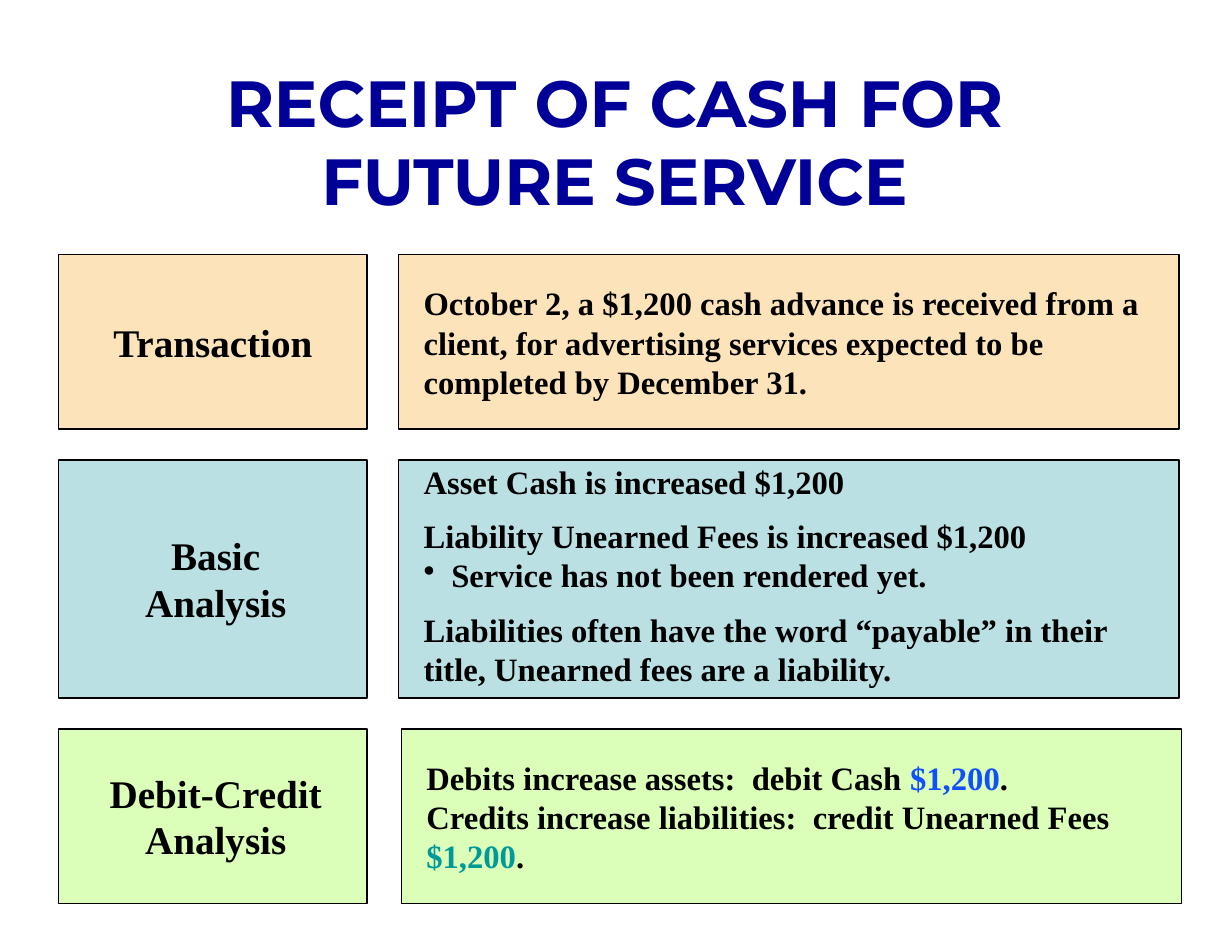
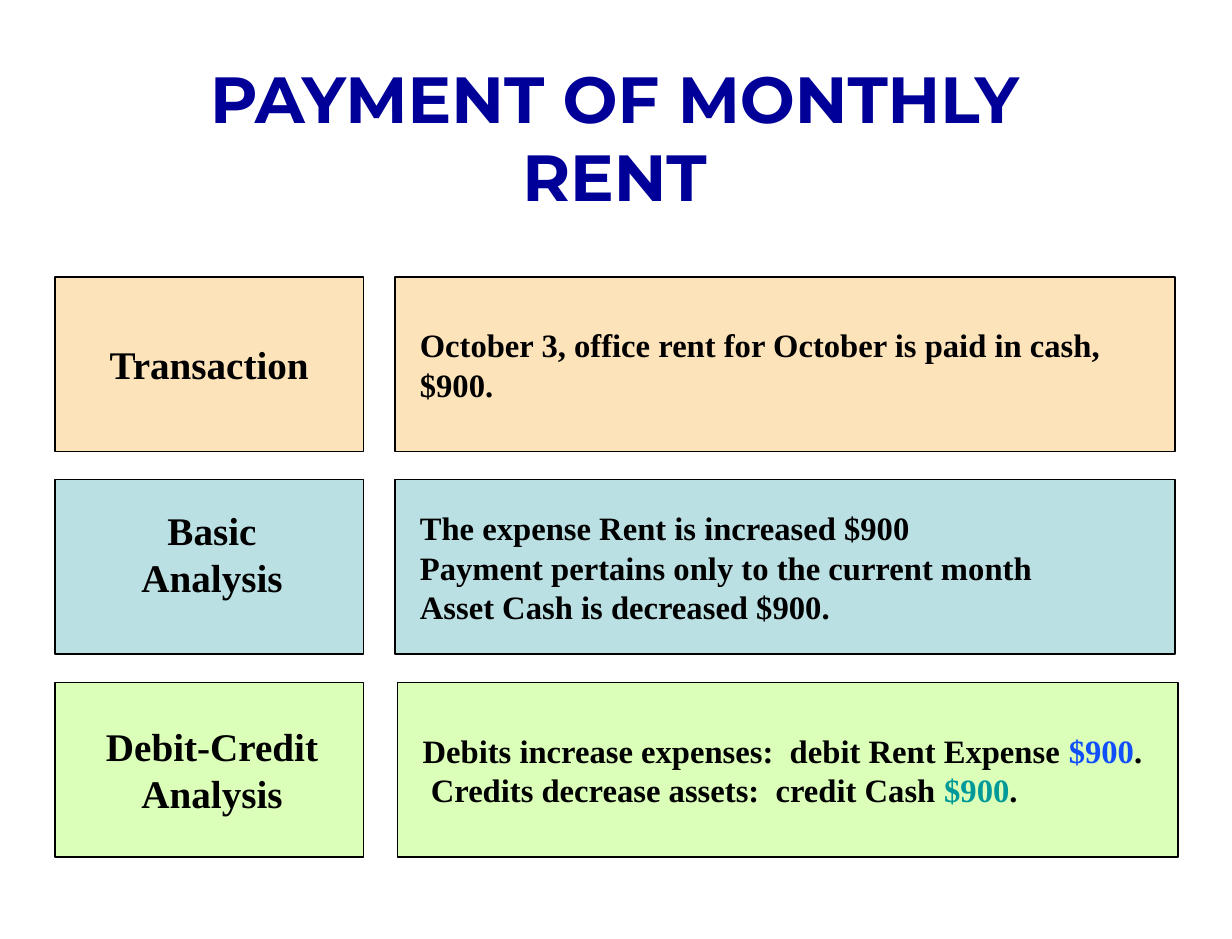
"""Builds two slides that analyse accounting transactions in three rows."""
from lxml.etree import SubElement
from pptx import Presentation
from pptx.dml.color import RGBColor
from pptx.enum.shapes import MSO_SHAPE
from pptx.enum.text import MSO_ANCHOR, MSO_AUTO_SIZE, PP_ALIGN
from pptx.oxml.ns import qn
from pptx.util import Cm, Pt

BLACK, NAVY, BLUE, TEAL = "000000", "000099", "114FFB", "009999"
SERIF, SANS = "Times New Roman", "Montserrat"
GAP, BULLET = "gap", "bullet"

ROWS = [
    dict(fill="FDE3BA", label=["Transaction"], size=(4.88, 1.27), nudge=0, shift=0),
    dict(fill="BBE0E3", label=["Basic", "Analysis"], size=(3.56, 2.29), nudge=0.06, shift=0),
    dict(fill="DBFFB8", label=["Debit-Credit", "Analysis"], size=(5.11, 2.29), nudge=0.06, shift=0.06),
]

SLIDES = [
    dict(
        title="RECEIPT OF CASH FOR FUTURE SERVICE", head=1.22,
        left=1.27, top=5.51, gap=0.66,
        rows=[
            dict(high=3.78, size=(16.18, 2.79), text=[
                ("", [("October 2, a $1,200 cash advance is received from a client, for "
                       "advertising services expected to be completed by December 31.", BLACK)]),
            ]),
            dict(high=5.16, size=(16.56, 5.99), drop=0.34, text=[
                ("", [("Asset Cash is increased $1,200", BLACK)]),
                (GAP, [("Liability Unearned Fees is increased $1,200", BLACK)]),
                (BULLET, [("Service has not been rendered yet.", BLACK)]),
                (GAP, [("Liabilities often have the word “payable” in their title, "
                        "Unearned fees are a liability.", BLACK)]),
            ]),
            dict(high=3.78, size=(15.72, 2.79), text=[
                ("", [("Debits increase assets:  debit Cash ", BLACK), ("$1,200", BLUE),
                      (".", BLACK)]),
                ("", [("Credits increase liabilities:  credit Unearned Fees ", BLACK),
                      ("$1,200", TEAL), (".", BLACK)]),
            ]),
        ],
    ),
    dict(
        title="PAYMENT OF MONTHLY RENT", head=1.14,
        left=1.19, top=5.99, gap=0.61,
        rows=[
            dict(high=3.78, size=(15.72, 1.93), text=[
                ("", [("October 3, office rent for October is paid in cash, $900.", BLACK)]),
            ]),
            dict(high=3.78, size=(15.29, 2.79), lift=0.29, text=[
                ("", [("The expense Rent is increased $900", BLACK)]),
                ("", [("Payment pertains only to the current month", BLACK)]),
                ("", [("Asset Cash is decreased $900.", BLACK)]),
            ]),
            dict(high=3.78, size=(16.18, 1.93), text=[
                ("", [("Debits increase expenses:  debit Rent Expense ", BLACK), ("$900", BLUE),
                      (".  Credits decrease assets:  credit Cash ", BLACK), ("$900", TEAL),
                      (".", BLACK)]),
            ]),
        ],
    ),
]

LABEL_WIDE, DETAIL_WIDE, STEP, INSET = 6.68, 16.89, 7.36, 0.29


def color(code):
    return RGBColor.from_string(code)


def add_tile(slide, left, top, wide, high, fill):
    tile = slide.shapes.add_shape(MSO_SHAPE.RECTANGLE, Cm(left), Cm(top), Cm(wide), Cm(high))
    tile.shadow.inherit = False
    tile.fill.solid()
    tile.fill.fore_color.rgb = color(fill)
    tile.line.color.rgb = color(BLACK)
    tile.line.width = Pt(1)


def add_bullet(para):
    props = para._p.get_or_add_pPr()
    props.set("marL", str(Cm(0.6)))
    props.set("indent", str(-Cm(0.6)))
    SubElement(props, qn("a:buChar")).set("char", "•")


def add_text(slide, left, top, wide, high, paras, size, font=SERIF,
             align=PP_ALIGN.LEFT, wrap=True):
    box = slide.shapes.add_textbox(Cm(left), Cm(top), Cm(wide), Cm(high))
    frame = box.text_frame
    frame.word_wrap = wrap
    frame.auto_size = MSO_AUTO_SIZE.SHAPE_TO_FIT_TEXT
    frame.vertical_anchor = MSO_ANCHOR.TOP
    for index, (style, runs) in enumerate(paras):
        para = frame.add_paragraph() if index else frame.paragraphs[0]
        if style == BULLET:
            add_bullet(para)
        if style == GAP:
            para.space_before = Pt(9.2)
        para.alignment = align
        for words, shade in runs:
            run = para.add_run()
            run.text = words
            run.font.name = font
            run.font.size = Pt(size)
            run.font.bold = True
            run.font.color.rgb = color(shade)


def add_row(slide, left, top, row, part):
    high, middle = part["high"], top + part["high"] / 2
    add_tile(slide, left, top, LABEL_WIDE, high, row["fill"])
    wide, tall = row["size"]
    add_text(slide, left + (LABEL_WIDE - wide) / 2 + row["nudge"],
             middle - tall / 2 - part.get("lift", 0), wide, tall,
             [("", [(line, BLACK)]) for line in row["label"]], 24,
             align=PP_ALIGN.CENTER, wrap=False)

    side = left + STEP + row["shift"]
    add_tile(slide, side, top, DETAIL_WIDE, high, row["fill"])
    wide, tall = part["size"]
    add_text(slide, side + INSET, middle - tall / 2 + part.get("drop", 0),
             wide, tall, part["text"], 20)


def main():
    deck = Presentation()
    deck.slide_width, deck.slide_height = Cm(26.67), Cm(20.32)
    for page in SLIDES:
        slide = deck.slides.add_slide(deck.slide_layouts[6])
        add_text(slide, 2.74, page["head"], 21.13, 3.63, [("", [(page["title"], NAVY)])],
                 40, font=SANS, align=PP_ALIGN.CENTER)
        top = page["top"]
        for row, part in zip(ROWS, page["rows"]):
            add_row(slide, page["left"], top, row, part)
            top += part["high"] + page["gap"]
    deck.save("out.pptx")


if __name__ == "__main__":
    main()
